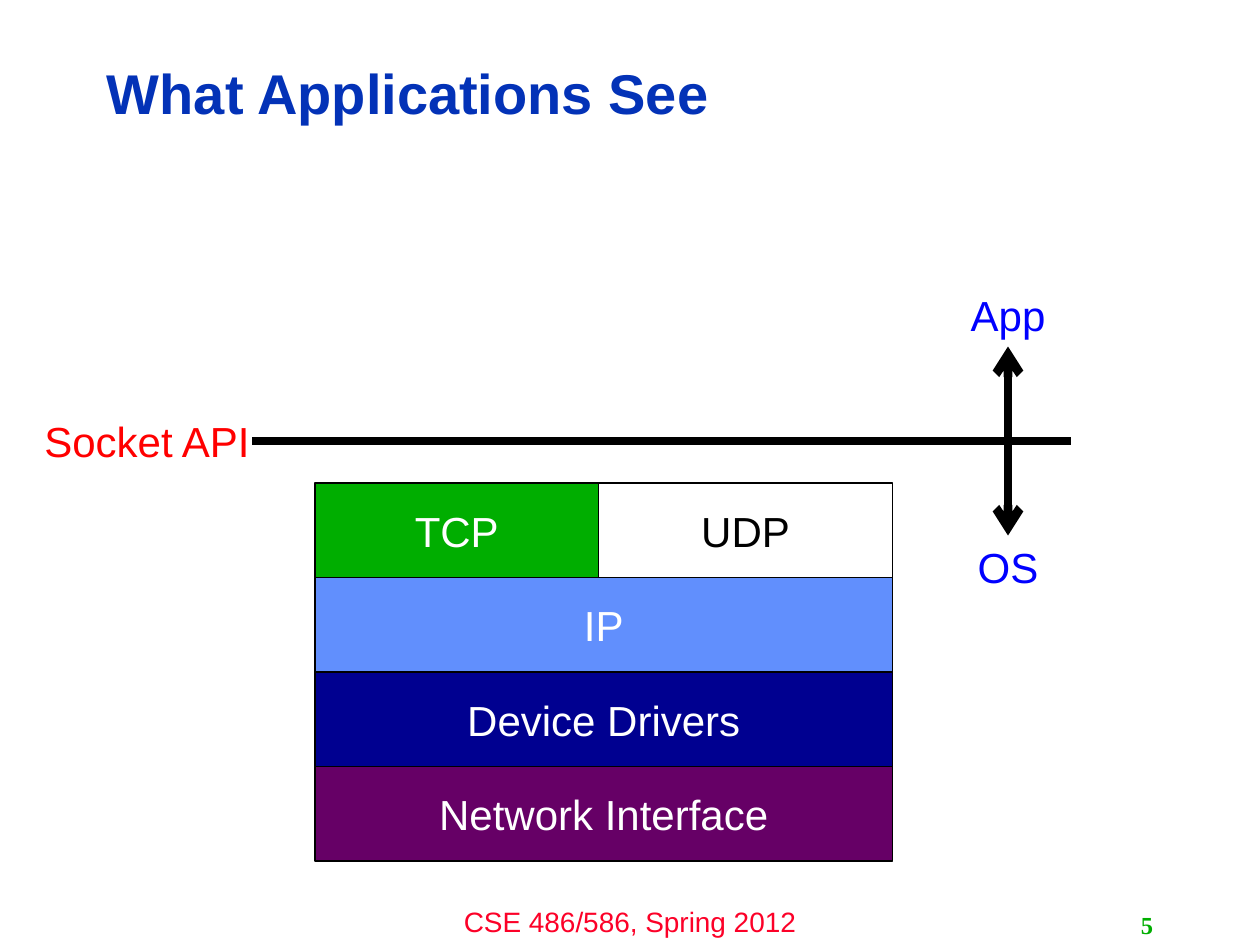
from lxml import etree
from pptx import Presentation
from pptx.dml.color import RGBColor
from pptx.enum.shapes import MSO_CONNECTOR, MSO_SHAPE
from pptx.enum.text import MSO_ANCHOR, PP_ALIGN
from pptx.oxml.ns import qn
from pptx.util import Pt

TITLE = "What Applications See"
FOOTER = "CSE 486/586, Spring 2012"
PAGE_NUMBER = "5"

# Each layer lists its blocks: label, width, fill, text colour
LAYERS = [
    [("TCP", 162, "00AE00", "FFFFFF"), ("UDP", 168, "FFFFFF", "000000")],
    [("IP", 330, "618FFD", "FFFFFF")],
    [("Device Drivers", 330, "000090", "FFFFFF")],
    [("Network Interface", 330, "660066", "FFFFFF")],
]
STACK_LEFT, STACK_TOP, LAYER_HEIGHT = 180, 276, 54

# Label, left, top, width, colour
LABELS = [
    ("OS", 528, 306, 96, "0000FF"),
    ("App", 528, 162, 96, "0000FF"),
    ("Socket API", 18, 234, 132, "FF0000"),
]
API_LEFT, API_RIGHT, API_Y = 144, 612, 252
ARROW_X, ARROW_LENGTH = 576, 54


def color(value):
    return RGBColor.from_string(value)


def write(shape, text, size, text_color, align=PP_ALIGN.CENTER,
          anchor=MSO_ANCHOR.MIDDLE, font_name="Arial", bold=False):
    frame = shape.text_frame
    frame.word_wrap = True
    frame.vertical_anchor = anchor
    para = frame.paragraphs[0]
    para.text = text
    para.alignment = align
    font = para.font
    font.name, font.size, font.bold = font_name, Pt(size), bold
    font.color.rgb = color(text_color)
    return para


def add_text(page, place, *args, **options):
    box = page.shapes.add_textbox(*map(Pt, place))
    return write(box, *args, **options)


def add_block(page, place, label, fill, text_color):
    block = page.shapes.add_shape(MSO_SHAPE.RECTANGLE, *map(Pt, place))
    block.shadow.inherit = False
    block.fill.solid()
    block.fill.fore_color.rgb = color(fill)
    block.line.color.rgb = color("000000")
    block.line.width = Pt(0.75)
    write(block, label, 24, text_color)


def add_line(page, start, end, arrow=False):
    line = page.shapes.add_connector(
        MSO_CONNECTOR.STRAIGHT, *map(Pt, start + end))
    line.line.color.rgb = color("000000")
    line.line.width = Pt(5)
    properties = line._element.spPr
    if arrow:
        outline = properties.find(qn("a:ln"))
        etree.SubElement(outline, qn("a:tailEnd"), type="arrow")
    etree.SubElement(properties, qn("a:effectLst"))


def main():
    deck = Presentation()
    deck.slide_width, deck.slide_height = Pt(720), Pt(540)
    page = deck.slides.add_slide(deck.slide_layouts[6])

    title = add_text(page, (54, 26, 574.5, 58), TITLE, 32, "0332B7",
                     align=PP_ALIGN.LEFT, bold=True)
    title.line_spacing = 0.9
    add_text(page, (240, 513.5, 240, 26.5), FOOTER, 16, "FC0128",
             anchor=MSO_ANCHOR.TOP)
    add_text(page, (516, 517, 150, 23), PAGE_NUMBER, 14, "00AE00",
             align=PP_ALIGN.RIGHT, font_name="Times New Roman", bold=True)

    for row, layer in enumerate(LAYERS):
        left = STACK_LEFT
        top = STACK_TOP + row * LAYER_HEIGHT
        for label, width, fill, text_color in layer:
            add_block(page, (left, top, width, LAYER_HEIGHT),
                      label, fill, text_color)
            left += width

    add_line(page, (API_LEFT, API_Y), (API_RIGHT, API_Y))
    for direction in (1, -1):
        add_line(page, (ARROW_X, API_Y),
                 (ARROW_X, API_Y + direction * ARROW_LENGTH), arrow=True)

    for label, left, top, width, text_color in LABELS:
        add_text(page, (left, top, width, 36), label, 24, text_color,
                 anchor=MSO_ANCHOR.TOP)

    deck.save("out.pptx")


if __name__ == "__main__":
    main()
